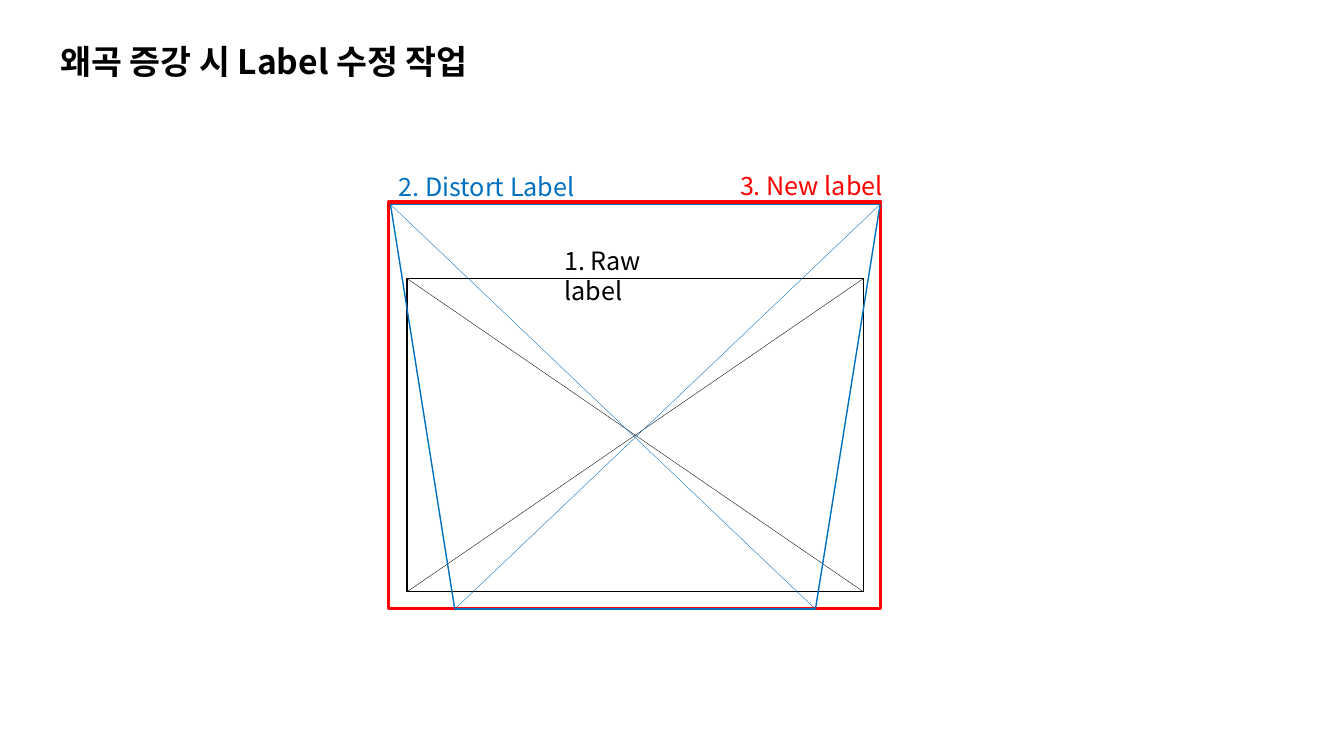
from lxml import etree
from pptx import Presentation
from pptx.dml.color import RGBColor
from pptx.enum.shapes import MSO_CONNECTOR, MSO_SHAPE
from pptx.enum.text import MSO_AUTO_SIZE
from pptx.oxml.ns import qn
from pptx.util import Cm, Pt

RECT = MSO_SHAPE.RECTANGLE
LINE = MSO_CONNECTOR.STRAIGHT
GROW = MSO_AUTO_SIZE.SHAPE_TO_FIT_TEXT
FONT = "Noto Sans CJK KR"
HEX = {"raw": "000000", "distort": "0070C0", "new": "FF0000"}
INK = {name: RGBColor.from_string(code) for name, code in HEX.items()}

deck = Presentation()
deck.slide_width, deck.slide_height = Cm(33.87), Cm(19.05)
slide = deck.slides.add_slide(deck.slide_layouts[6])
shapes = slide.shapes


def add_line(home, start, end, ink, width):
    line = home.add_connector(LINE, *map(Cm, start + end))
    line.line.color.rgb = INK[ink]
    line.line.width = Pt(width)
    etree.SubElement(line._element.spPr, qn("a:effectLst"))


def add_text(text, box, ink, size, bold=False, wrap=False):
    label = shapes.add_textbox(*map(Cm, box))
    frame = label.text_frame
    frame.word_wrap = wrap
    frame.auto_size = GROW
    run = frame.paragraphs[0].add_run()
    run.text = text
    run.font.name = FONT
    run.font.size = Pt(size)
    run.font.bold = bold
    run.font.color.rgb = INK[ink]
    etree.SubElement(run.font._element, qn("a:ea"), typeface=FONT)
    return frame


# New and raw label boxes
for ink, box, width in [
    ("new", (9.8, 5.09, 12.4, 10.25), 2.25),
    ("raw", (10.26, 7.02, 11.5, 7.89), 1),
]:
    rect = shapes.add_shape(RECT, *map(Cm, box))
    rect.shadow.inherit = False
    rect.fill.background()
    rect.line.color.rgb = INK[ink]
    rect.line.width = Pt(width)

# Diagonals of the raw label
left, top, wide, high = box
right, base = left + wide, top + high
add_line(shapes, (left, top), (right, base), "raw", 0.25)
add_line(shapes, (left, base), (right, top), "raw", 0.25)

# Captions and title
add_text("3. New label", (18.4, 4.17, 4.13, 1.03), "new", 18)
raw = add_text("1. Raw label", (13.97, 6.05, 4.03, 1.03), "raw", 18, wrap=True)
raw.margin_right = Cm(0.8)
add_text("2. Distort Label", (9.8, 4.19, 5.11, 1.03), "distort", 18)
add_text("왜곡 증강 시 Label 수정 작업", (1.27, 0.91, 27.81, 1.28),
         "raw", 24, bold=True, wrap=True)

# Distorted label: four sides, then both diagonals
group = shapes.add_group_shape().shapes
ends = [(9.84, 5.15), (22.18, 5.15), (20.55, 15.35), (11.46, 15.35)]
for i, start in enumerate(ends):
    add_line(group, start, ends[(i + 1) % 4], "distort", 1)
for start, end in zip(ends[:2], ends[2:]):
    add_line(group, start, end, "distort", 0.25)

deck.save("out.pptx")
